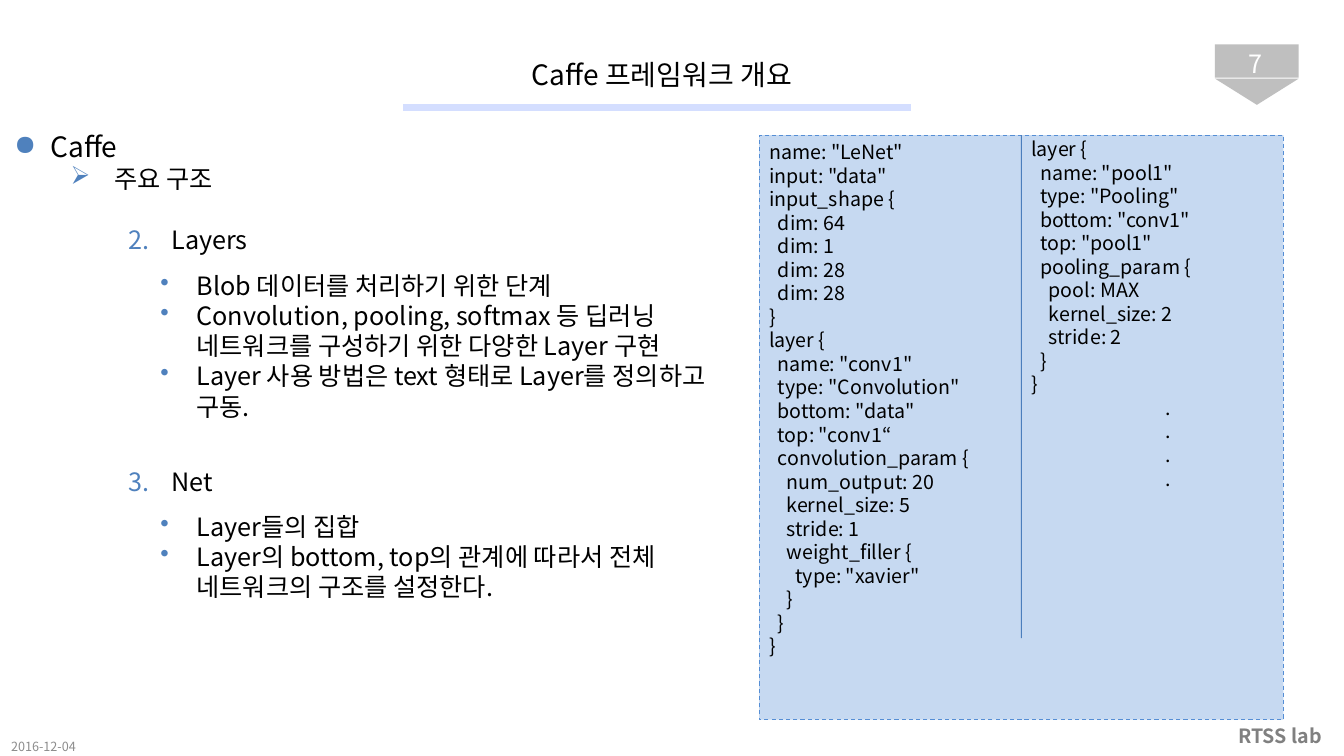
from dataclasses import dataclass
from lxml import etree
from pptx import Presentation
from pptx import util as u
from pptx.dml.color import RGBColor
from pptx.enum import dml, shapes, text
from pptx.oxml import ns


@dataclass
class Theme:
    font: str = "Noto Sans CJK KR"
    ink: str = "000000"
    white: str = "FFFFFF"
    badge: str = "BFBFBF"
    rule: str = "D4DEFF"
    bullet: str = "4F81BD"
    panel: str = "C6D9F1"
    panel_edge: str = "558ED5"
    divider: str = "4B7EBC"
    lab: str = "808080"
    date: str = "8C8C8C"
    heading: int = 20
    body: int = 18
    code: int = 14
    small: int = 9
    leading: float = 1.2


theme = Theme()
rgb = RGBColor.from_string
deck = Presentation()
deck.slide_width, deck.slide_height = u.Inches(13.33), u.Inches(7.5)
page = deck.slides.add_slide(deck.slide_layouts[5])


def area(*shares):
    """Turn percentages of the slide's width and height into lengths."""
    sides = (deck.slide_width, deck.slide_height) * 2
    return [u.Emu(int(side * share / 100)) for side, share in zip(sides, shares)]


def write(box, lines, size, color=theme.ink, align=text.PP_ALIGN.LEFT,
          anchor=text.MSO_ANCHOR.TOP, inset=(0.11, 0.06)):
    """Fill a box with one paragraph per line and format it."""
    frame = box.text_frame
    frame.text = "\n".join(lines)
    frame.word_wrap = True
    frame.auto_size = text.MSO_AUTO_SIZE.NONE
    frame.vertical_anchor = anchor
    frame.margin_left = frame.margin_right = u.Inches(inset[0])
    frame.margin_top = frame.margin_bottom = u.Inches(inset[1])
    for para in frame.paragraphs:
        para.alignment = align
        para.line_spacing = u.Pt(size * theme.leading)
        para.space_before = para.space_after = u.Pt(0)
        for span in para.runs:
            span.font.size = u.Pt(size)
            span.font.name = theme.font
            span.font.color.rgb = rgb(color)
            etree.SubElement(span.font._element, ns.qn("a:ea"), typeface=theme.font)
    return frame.paragraphs


# Page badge: a plate with a point below it
for kind, top, height, turn in ((shapes.MSO_SHAPE.RECTANGLE, 5.87, 4.4, 0),
                                (shapes.MSO_SHAPE.ISOSCELES_TRIANGLE, 10.4, 3.47, 180)):
    badge = page.shapes.add_shape(kind, *area(90.4, top, 6.23, height))
    badge.rotation = turn
    badge.shadow.inherit = False
    badge.fill.solid()
    badge.fill.fore_color.rgb = rgb(theme.badge)
    badge.line.fill.background()

# Title
title = page.shapes.title
title.left, title.top, title.width, title.height = area(15.38, 5.87, 67.74, 7.87)
write(title, ["Caffe 프레임워크 개요"], theme.heading,
      align=text.PP_ALIGN.CENTER, anchor=text.MSO_ANCHOR.MIDDLE)

# Page number, lab name and date
for words, place, size, color, align, bold in (
        ("7", (90.4, 6.4, 6.08, 4), theme.body, theme.white, text.PP_ALIGN.CENTER, False),
        ("RTSS lab", (90.4, 94.67, 9.68, 5.33), theme.code, theme.lab, text.PP_ALIGN.CENTER, True),
        ("2016-12-04", (0, 97.33, 7.88, 2.8), theme.small, theme.date, text.PP_ALIGN.LEFT, False)):
    label = page.shapes.add_textbox(*area(*place))
    paras = write(label, [words], size, color, align, text.MSO_ANCHOR.MIDDLE)
    paras[0].runs[0].font.bold = bold

# Outline and its details: text, level, indent, hanging, mark, lines left free above
outline = [("Caffe", 0, 0.36, 0.36, "●", 0),
           ("주요 구조", 1, 0.99, 0.43, "➢", 0),
           ("Layers", 2, 1.56, 0.43, 2, 1),
           ("Net", 2, 1.56, 0.43, 3, 7)]
layer_notes = ["Blob 데이터를 처리하기 위한 단계",
               "Convolution, pooling, softmax 등 딥러닝 네트워크를 구성하기 위한 다양한 Layer 구현",
               "Layer 사용 방법은 text 형태로 Layer를 정의하고 구동."]
net_notes = ["Layer들의 집합",
             "Layer의 bottom, top의 관계에 따라서 전체 네트워크의 구조를 설정한다."]
layer_items, net_items = ([(note, 2, 1.49, 0.36, "•", 0) for note in notes]
                          for notes in (layer_notes, net_notes))
for place, items in (((0.23, 16.4, 48.01, 54.53), outline),
                     ((2.63, 34.93, 50.86, 38.27), layer_items),
                     ((2.63, 66.8, 50.86, 26.27), net_items)):
    box = page.shapes.add_textbox(*area(*place))
    paras = write(box, [item[0] for item in items], theme.body)
    for para, (_, level, indent, hanging, mark, free) in zip(paras, items):
        para.level = level
        para.space_before = u.Pt(free * theme.body * theme.leading)
        if level == 0:
            para.runs[0].font.size = u.Pt(theme.heading)
            para.line_spacing = u.Pt(theme.heading * theme.leading)
        props = para._p.get_or_add_pPr()
        props.set("marL", str(u.Inches(indent)))
        props.set("indent", str(-u.Inches(hanging)))
        tint = etree.SubElement(props, ns.qn("a:buClr"))
        etree.SubElement(tint, ns.qn("a:srgbClr"), val=theme.bullet)
        if isinstance(mark, int):
            etree.SubElement(props, ns.qn("a:buAutoNum"), type="arabicPeriod", startAt=str(mark))
        else:
            etree.SubElement(props, ns.qn("a:buChar"), char=mark)

# Code panel with two columns
first_code = """name: "LeNet"
input: "data"
input_shape {
  dim: 64
  dim: 1
  dim: 28
  dim: 28
}
layer {
  name: "conv1"
  type: "Convolution"
  bottom: "data"
  top: "conv1“
  convolution_param {
    num_output: 20
    kernel_size: 5
    stride: 1
    weight_filler {
      type: "xavier"
    }
  }
}"""
second_code = """layer {
  name: "pool1"
  type: "Pooling"
  bottom: "conv1"
  top: "pool1"
  pooling_param {
    pool: MAX
    kernel_size: 2
    stride: 2
  }
}"""
panel = page.shapes.add_shape(shapes.MSO_SHAPE.RECTANGLE, *area(56.49, 17.87, 39.01, 77.33))
panel.shadow.inherit = False
panel.fill.solid()
panel.fill.fore_color.rgb = rgb(theme.panel)
panel.line.color.rgb = rgb(theme.panel_edge)
panel.line.width = u.Pt(0.75)
panel.line.dash_style = dml.MSO_LINE.DASH
write(panel, first_code.split("\n"), theme.code, inset=(0.1, 0.05))

column = page.shapes.add_textbox(*area(75.99, 17.47, 21.83, 51.6))
dots = 4
paras = write(column, second_code.split("\n") + ["."] * dots, theme.code, inset=(0.1, 0.05))
for para in paras[-dots:]:
    para.alignment = text.PP_ALIGN.CENTER

# Title rule and column divider
for ends, color, width in (((30.01, 14.27, 67.82, 14.27), theme.rule, 5),
                           ((75.99, 17.87, 75.99, 84.4), theme.divider, 0.75)):
    line = page.shapes.add_connector(shapes.MSO_CONNECTOR.STRAIGHT, *area(*ends))
    line.line.color.rgb = rgb(color)
    line.line.width = u.Pt(width)
    etree.SubElement(line._element.spPr, ns.qn("a:effectLst"))
line.begin_connect(panel, 0)

deck.save("out.pptx")
